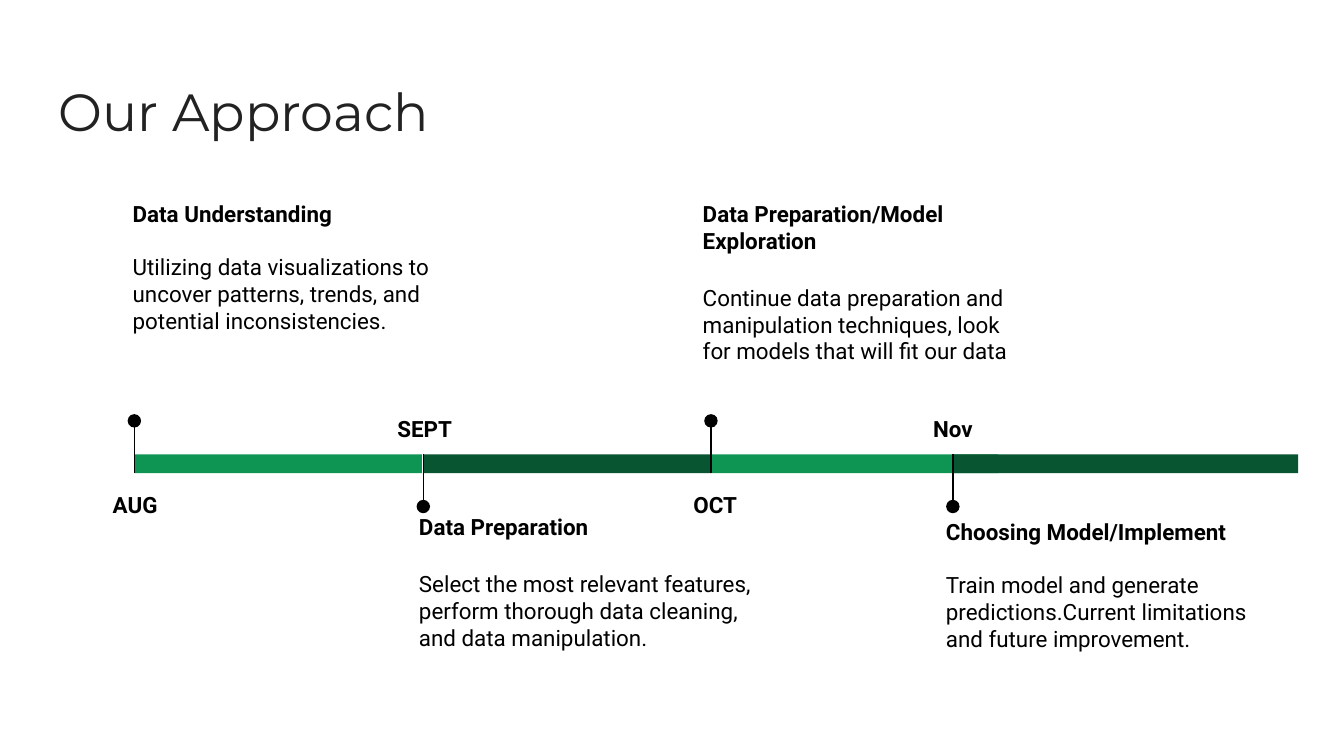
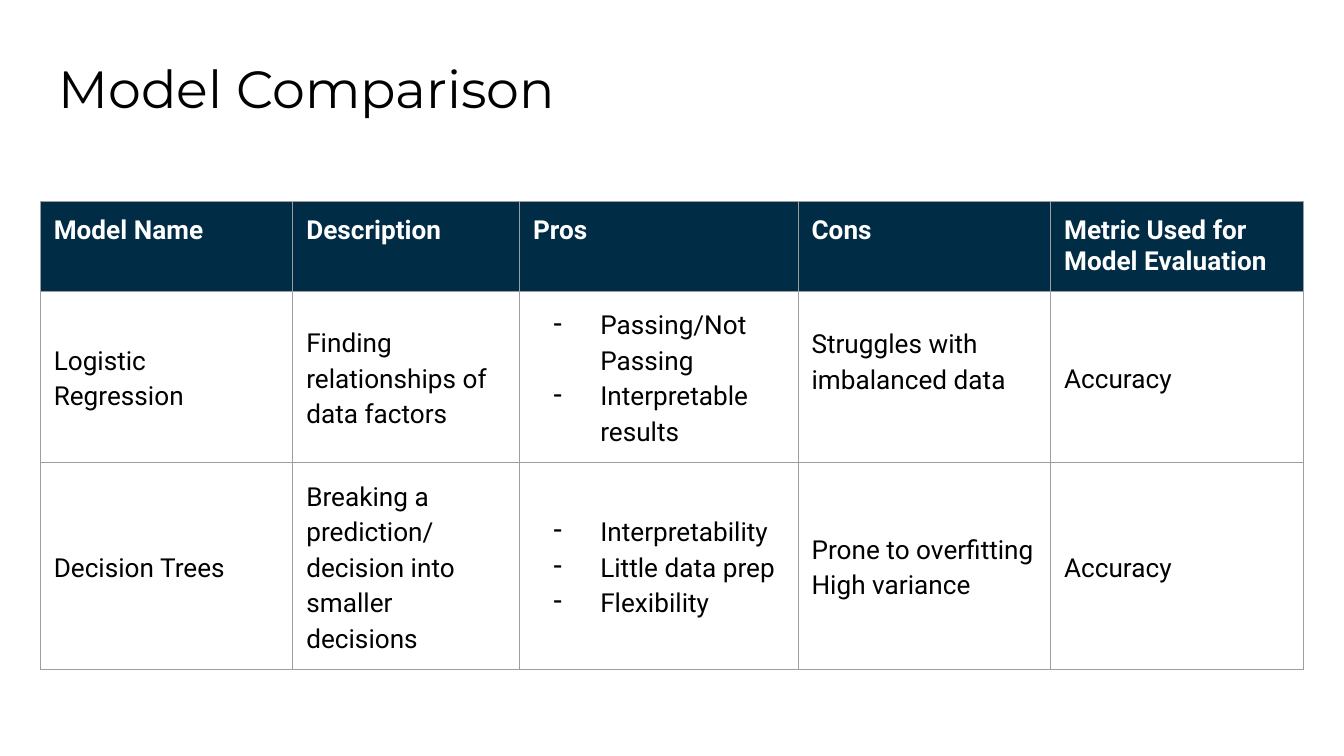
"""Build a project timeline slide and a model comparison slide."""
from dataclasses import dataclass

from lxml.etree import SubElement
from pptx import Presentation
from pptx.dml.color import RGBColor
from pptx.enum.shapes import MSO_CONNECTOR as Connector, MSO_SHAPE as Shape
from pptx.enum.text import MSO_ANCHOR as Anchor, PP_ALIGN as Align
from pptx.oxml.ns import qn
from pptx.util import Pt

BLACK = RGBColor(0x00, 0x00, 0x00)
WHITE = RGBColor(0xFF, 0xFF, 0xFF)
CHARCOAL = RGBColor(0x22, 0x22, 0x22)
GREEN = RGBColor(0x0E, 0x94, 0x53)
DARK_GREEN = RGBColor(0x08, 0x56, 0x31)
NAVY = RGBColor(0x00, 0x2C, 0x45)
BORDER_GRAY = RGBColor(0x9E, 0x9E, 0x9E)

TITLE_FONT = "Montserrat"
BODY_FONT = "Roboto"
INSET = 7.2
LINE_WIDTH = 0.75
PIN_LENGTH = 28
DOT_SIZE = 7.2
LABEL_HEIGHT = 29.5


@dataclass
class Milestone:
    """One stage of the timeline, with offsets from its start and the bar's top."""

    month: str
    start: float
    length: float
    label_shift: float
    heading: str
    detail: str
    gap: float
    note_box: tuple


MILESTONES = [
    Milestone("AUG", 0, 154, 0.4, "Data Understanding",
              "Utilizing data visualizations to uncover patterns, trends, "
              "and potential inconsistencies.", 14, (-8, -143.3, 177, 113)),
    Milestone("SEPT", 154.8, 154, 0.7, "Data Preparation",
              "Select the most relevant features, perform thorough data cleaning, "
              "and data manipulation.", 16, (-9.4, 24.5, 197.3, 102)),
    Milestone("OCT", 308.9, 154, 2.2, "Data Preparation/Model Exploration",
              "Continue data preparation and manipulation techniques, "
              "look for models that will fit our data", 16, (-11.5, -143.3, 191.5, 113)),
    Milestone("Nov", 438.5, 185, 0, "Choosing Model/Implement",
              "Train model and generate predictions.Current limitations "
              "and future improvement.", 14, (-10.8, 27.2, 177, 80)),
]

COLUMN_WIDTHS = [135.3, 121.5, 149.2, 135.3, 135.3]
ROW_HEIGHTS = [47.2, 90.5, 109.3]
HEADERS = ["Model Name", "Description", "Pros", "Cons", "Metric Used for Model Evaluation"]
MODELS = [
    [["Logistic Regression"], ["Finding relationships of data factors"],
     ["Passing/Not Passing", "Interpretable results"],
     ["Struggles with imbalanced data"], ["Accuracy"]],
    [["Decision Trees"], ["Breaking a prediction/", "decision into smaller decisions"],
     ["Interpretability", "Little data prep", "Flexibility"],
     ["Prone to overfitting", "High variance"], ["Accuracy"]],
]
PROS = HEADERS.index("Pros")
CONS = HEADERS.index("Cons")


def add_text(frame, text, size=12, font=BODY_FONT, color=BLACK, bold=False,
             align=Align.LEFT, spacing=1.0, before=0, bullet=None):
    """Append one formatted paragraph to a text frame."""
    first = frame.paragraphs[0]
    paragraph = frame.add_paragraph() if first.runs else first
    paragraph.alignment = align
    paragraph.line_spacing = spacing
    paragraph.space_before = Pt(before)
    if bullet:
        properties = paragraph._p.get_or_add_pPr()
        properties.set("marL", str(Pt(36)))
        properties.set("indent", str(Pt(-25.2)))
        SubElement(properties, qn("a:buChar"), char=bullet)
    run = paragraph.add_run()
    run.text = text
    run.font.size = Pt(size)
    run.font.name = font
    run.font.bold = bold
    run.font.color.rgb = color


def add_text_box(slide, left, top, width, height):
    """Add a wrapping text box and return its text frame."""
    frame = slide.shapes.add_textbox(Pt(left), Pt(top), Pt(width), Pt(height)).text_frame
    frame.word_wrap = True
    frame.margin_left = frame.margin_right = Pt(INSET)
    frame.margin_top = frame.margin_bottom = Pt(INSET)
    return frame


def add_title(slide, text, top, color):
    """Add the slide title across the page."""
    frame = add_text_box(slide, 24.5, top, 671, 45.4)
    add_text(frame, text, size=28, font=TITLE_FONT, color=color)


def add_filled_shape(slide, kind, left, top, width, height, color):
    """Add a flat shape without an outline."""
    shape = slide.shapes.add_shape(kind, Pt(left), Pt(top), Pt(width), Pt(height))
    shape.shadow.inherit = False
    shape.fill.solid()
    shape.fill.fore_color.rgb = color
    shape.line.fill.background()


def add_pin(slide, left, base, tip):
    """Add a vertical line that ends in a dot."""
    line = slide.shapes.add_connector(Connector.STRAIGHT, Pt(left), Pt(base), Pt(left), Pt(tip))
    line.line.color.rgb = BLACK
    line.line.width = Pt(LINE_WIDTH)
    SubElement(line._element.spPr, qn("a:effectLst"))
    radius = DOT_SIZE / 2
    add_filled_shape(slide, Shape.OVAL, left - radius, tip - radius, DOT_SIZE, DOT_SIZE, BLACK)


def add_milestone(slide, milestone, left, top, height, note_above):
    """Add a bar segment with its pin, month and note on alternating sides."""
    bottom = top + height
    color = GREEN if note_above else DARK_GREEN
    add_filled_shape(slide, Shape.RECTANGLE, left, top, milestone.length, height, color)
    if note_above:
        add_pin(slide, left, bottom, bottom - PIN_LENGTH)
        label_top = bottom
    else:
        add_pin(slide, left, top, top + PIN_LENGTH)
        label_top = top - LABEL_HEIGHT - 0.8
    label = add_text_box(slide, left + milestone.label_shift - 30, label_top, 60, LABEL_HEIGHT)
    add_text(label, milestone.month, bold=True, align=Align.CENTER, spacing=1.15)
    note_left, note_top, note_width, note_height = milestone.note_box
    note = add_text_box(slide, left + note_left, top + note_top, note_width, note_height)
    add_text(note, milestone.heading, bold=True)
    add_text(note, milestone.detail, before=milestone.gap)


def add_timeline(slide, left, top, height):
    """Add the milestones in order along the bar."""
    for index, milestone in enumerate(MILESTONES):
        add_milestone(slide, milestone, left + milestone.start, top, height, index % 2 == 0)


def format_cell(cell, fill=None, anchor=Anchor.TOP, extra_bottom=0):
    """Set the insets, anchor, borders and fill of a table cell."""
    cell.margin_left = cell.margin_right = cell.margin_top = Pt(INSET)
    cell.margin_bottom = Pt(INSET + extra_bottom)
    cell.vertical_anchor = anchor
    properties = cell._tc.get_or_add_tcPr()
    for side in ("lnL", "lnR", "lnT", "lnB"):
        border = SubElement(properties, qn(f"a:{side}"), w=str(Pt(LINE_WIDTH)))
        solid = SubElement(border, qn("a:solidFill"))
        SubElement(solid, qn("a:srgbClr"), val=str(BORDER_GRAY))
    if fill is None:
        cell.fill.background()
    else:
        cell.fill.solid()
        cell.fill.fore_color.rgb = fill


def add_model_table(slide, left, top):
    """Add the table that compares the models."""
    frame = slide.shapes.add_table(
        len(ROW_HEIGHTS), len(COLUMN_WIDTHS), Pt(left), Pt(top),
        Pt(sum(COLUMN_WIDTHS)), Pt(sum(ROW_HEIGHTS)))
    table = frame.table
    table.first_row = table.horz_banding = False
    for column, width in zip(table.columns, COLUMN_WIDTHS):
        column.width = Pt(width)
    for row, height in zip(table.rows, ROW_HEIGHTS):
        row.height = Pt(height)
    for column, header in enumerate(HEADERS):
        cell = table.cell(0, column)
        format_cell(cell, fill=NAVY)
        add_text(cell.text_frame, header, size=14, color=WHITE, bold=True)
    for row, model in enumerate(MODELS, start=1):
        for column, lines in enumerate(model):
            cell = table.cell(row, column)
            raised = row == 1 and column == CONS
            format_cell(cell, anchor=Anchor.MIDDLE, extra_bottom=18 if raised else 0)
            for line in lines:
                add_text(cell.text_frame, line, size=14, spacing=1.15,
                         bullet="-" if column == PROS else None)


def build_approach_slide(slide):
    """Build the timeline slide."""
    add_title(slide, "Our Approach", 35.3, CHARCOAL)
    add_timeline(slide, 72, 243.4, 10.1)


def build_comparison_slide(slide):
    """Build the model comparison slide."""
    add_title(slide, "Model Comparison", 23, BLACK)
    add_model_table(slide, 21.6, 108)


def main():
    """Create and save the presentation."""
    presentation = Presentation()
    presentation.slide_width = Pt(720)
    presentation.slide_height = Pt(405)
    blank = presentation.slide_layouts[6]
    for build in (build_approach_slide, build_comparison_slide):
        build(presentation.slides.add_slide(blank))
    presentation.save("out.pptx")


if __name__ == "__main__":
    main()
